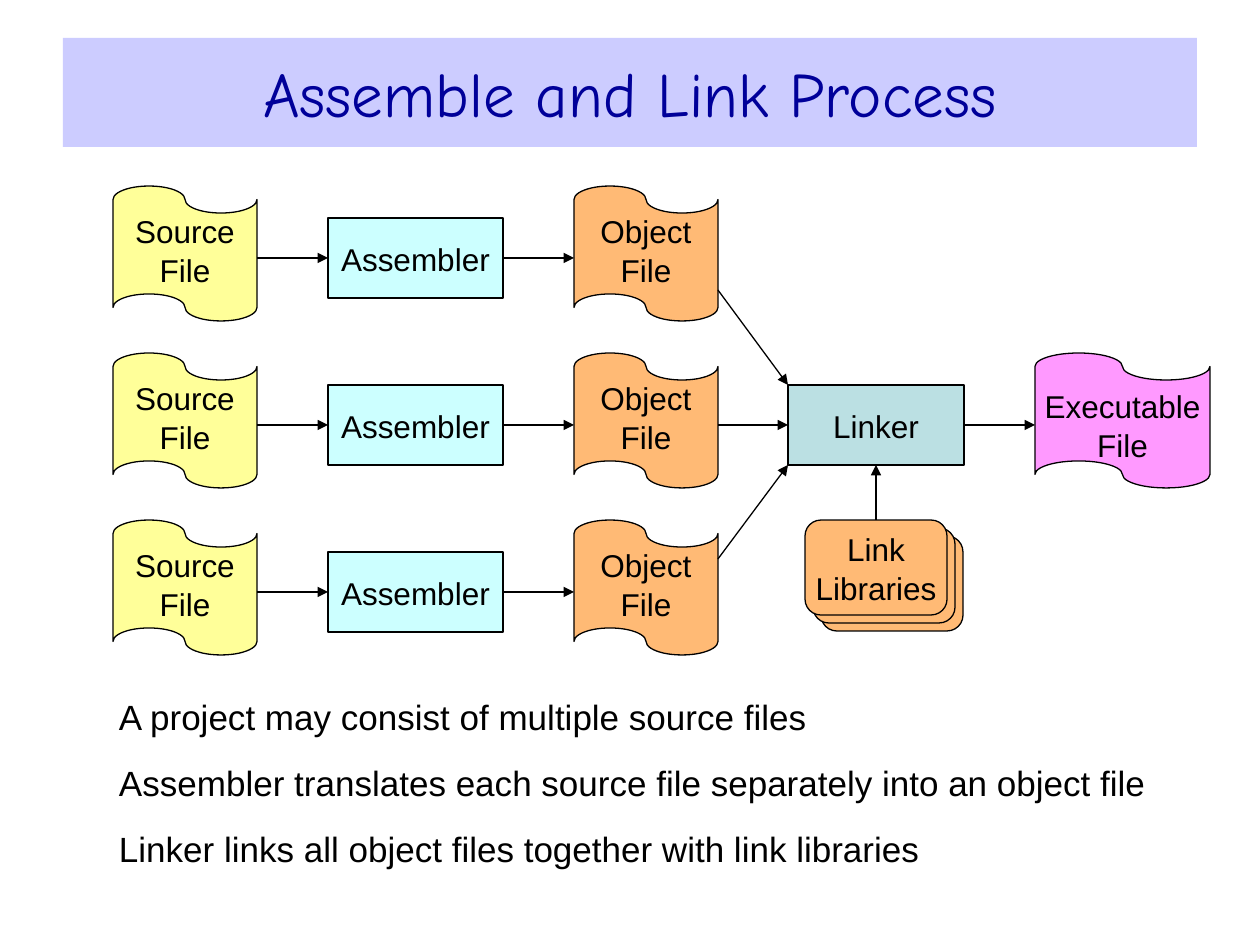
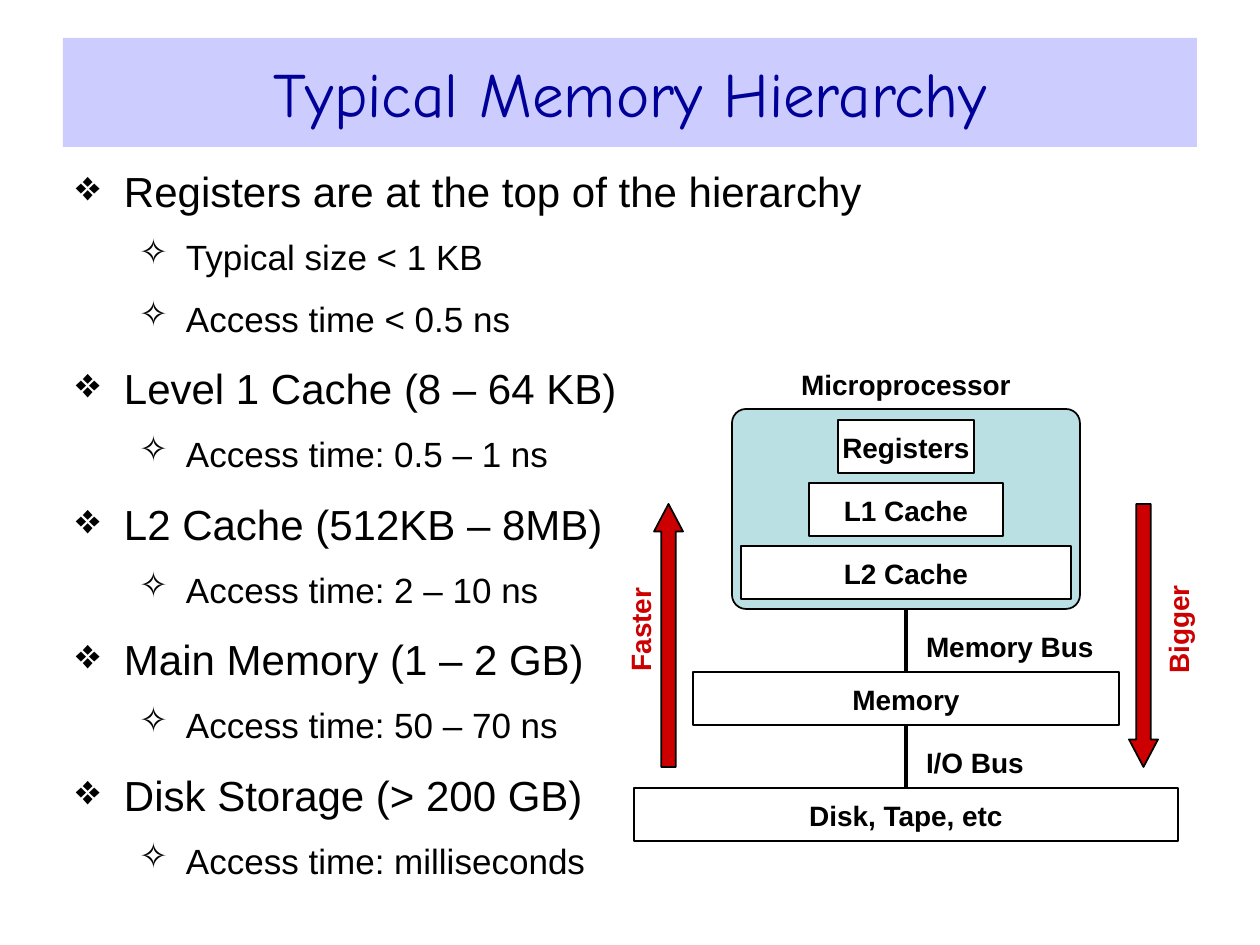
from itertools import pairwise

from lxml.etree import SubElement
from pptx import Presentation
from pptx.dml.color import RGBColor
from pptx.enum.shapes import MSO_CONNECTOR, MSO_SHAPE
from pptx.enum.text import MSO_ANCHOR, PP_ALIGN
from pptx.oxml.ns import qn
from pptx.util import Emu, Pt

PX = 914400 / 126
TOP, LEFT, BOTTOM, RIGHT = range(4)

BLACK, WHITE, RED = "000000", "FFFFFF", "CC0000"
BAND, NAVY = "CCCCFF", "000099"
YELLOW, CYAN, ORANGE, PINK, TEAL = "FFFF99", "CCFFFF", "FFBA75", "FF99FF", "BBE0E3"

TITLE = {"name": "Comic Neue", "size": Pt(36), "color": NAVY}
DIAGRAM = {"name": "Arial", "size": Pt(18), "color": BLACK}
NOTE = {"name": "Arial", "size": Pt(20), "color": BLACK}
HEADING = {"name": "Arial", "size": Pt(24), "color": BLACK}
LABEL = {"name": "Arial", "size": Pt(16), "color": BLACK, "bold": True}
RED_LABEL = LABEL | {"color": RED}

CENTERED = {"alignment": PP_ALIGN.CENTER, "line_spacing": 1.05}
SPACED = {"alignment": PP_ALIGN.LEFT, "line_spacing": 1.05}
PADDED = (13, 6)

ROW_TOPS = [186 + 167 * row for row in range(3)]
TAPE_HEIGHT, BLOCK_HEIGHT, BLOCK_OFFSET = 135, 80, 32
SOURCE_LEFT, OBJECT_LEFT, FILE_WIDTH = 113, 574, 144
LINKER_LEFT, LINKER_WIDTH = 788, 176
PROJECT_NOTES = [
    "A project may consist of multiple source files",
    "Assembler translates each source file separately into an object file",
    "Linker links all object files together with link libraries",
]

HIERARCHY = [
    ("Registers are at the top of the hierarchy", ["Typical size < 1 KB", "Access time < 0.5 ns"]),
    ("Level 1 Cache (8 – 64 KB)", ["Access time: 0.5 – 1 ns"]),
    ("L2 Cache (512KB – 8MB)", ["Access time: 2 – 10 ns"]),
    ("Main Memory (1 – 2 GB)", ["Access time: 50 – 70 ns"]),
    ("Disk Storage (> 200 GB)", ["Access time: milliseconds"]),
]
LEVELS = [
    {"font": HEADING, "bullet": "❖", "margin": 48, "hang": 48, "before": 12},
    {"font": NOTE, "bullet": "✧", "margin": 110, "hang": 47, "before": 10},
]
AXIS, STORE_HEIGHT = 906, 53
CHIP = (732, 409, 348, 200)
STORES = [
    ("Registers", 420, 136),
    ("L1 Cache", 483, 194),
    ("L2 Cache", 546, 330),
    ("Memory", 672, 426),
    ("Disk, Tape, etc", 788, 544),
]
BUS_LABELS = [("Memory Bus", 619), ("I/O Bus", 735)]
TRENDS = [
    ("Faster", 513, MSO_SHAPE.UP_ARROW, 654),
    ("Bigger", 1051, MSO_SHAPE.DOWN_ARROW, 1129),
]


def px(length):
    return Emu(round(length * PX))


def rgb(color):
    return RGBColor.from_string(color)


def apply(target, values):
    for name, value in values.items():
        if name == "color":
            target.color.rgb = rgb(value)
        else:
            setattr(target, name, value)


def set_frame(box, inset=(0, 0), anchor=MSO_ANCHOR.MIDDLE):
    across, down = map(px, inset)
    apply(box.text_frame, {
        "word_wrap": True, "vertical_anchor": anchor,
        "margin_left": across, "margin_right": across,
        "margin_top": down, "margin_bottom": down,
    })


def add_paragraph(frame, index, text, font, layout, before=0):
    para = frame.paragraphs[0] if index == 0 else frame.add_paragraph()
    apply(para, layout | {"space_before": Pt(before if index else 0)})
    span = para.add_run()
    span.text = text
    apply(span.font, font)
    return para


def write(box, lines, font, layout=CENTERED, before=0, **frame_values):
    set_frame(box, **frame_values)
    for index, line in enumerate(lines):
        add_paragraph(box.text_frame, index, line, font, layout, before)


def add_box(page, kind, bounds, fill, line=None, width=0.75):
    box = page.shapes.add_shape(kind, *map(px, bounds))
    box.shadow.inherit = False
    box.fill.solid()
    box.fill.fore_color.rgb = rgb(fill)
    if line:
        box.line.color.rgb = rgb(line)
        box.line.width = Pt(width)
    else:
        box.line.fill.background()
    return box


def add_text(page, bounds, lines, font, **values):
    box = page.shapes.add_textbox(*map(px, bounds))
    write(box, lines, font, **values)
    return box


def add_line(page, start, end, width=0.75, arrow=True):
    ends = [point if isinstance(point[0], int) else (0, 0) for point in (start, end)]
    line = page.shapes.add_connector(MSO_CONNECTOR.STRAIGHT, *map(px, ends[0] + ends[1]))
    for point, join in ((start, line.begin_connect), (end, line.end_connect)):
        if not isinstance(point[0], int):
            join(*point)
    line.line.color.rgb = rgb(BLACK)
    line.line.width = Pt(width)
    properties = line.element.spPr
    if arrow:
        SubElement(properties.find(qn("a:ln")), qn("a:tailEnd"), type="triangle")
    SubElement(properties, qn("a:effectLst"))


def add_page(deck, title):
    page = deck.slides.add_slide(deck.slide_layouts[6])
    band = add_box(page, MSO_SHAPE.RECTANGLE, (63, 38, 1134, 109), BAND)
    write(band, [title], TITLE, {"alignment": PP_ALIGN.CENTER}, inset=PADDED)
    return page


def add_tape(page, left, top, width, fill, lines, text_offset=32):
    tape = add_box(page, MSO_SHAPE.FLOWCHART_PUNCHED_TAPE, (left, top, width, TAPE_HEIGHT), fill, BLACK)
    tape.element.spPr.find(qn("a:xfrm")).set("flipV", "1")
    add_text(page, (left + 8, top + text_offset, width - 16, 63), lines, DIAGRAM)


def add_block(page, left, top, width, fill, text):
    bounds = (left, top + BLOCK_OFFSET, width, BLOCK_HEIGHT)
    block = add_box(page, MSO_SHAPE.RECTANGLE, bounds, fill, BLACK)
    write(block, [text], DIAGRAM)
    return block


def build_link_process(deck):
    page = add_page(deck, "Assemble and Link Process")
    for offset in (16, 8, 0):
        library = add_box(page, MSO_SHAPE.ROUNDED_RECTANGLE, (805 + offset, 520 + offset, 142, 95), ORANGE, BLACK)
    write(library, ["Link", "Libraries"], DIAGRAM)

    linker = add_block(page, LINKER_LEFT, ROW_TOPS[1], LINKER_WIDTH, TEAL, "Linker")
    linker_top = ROW_TOPS[1] + BLOCK_OFFSET
    linker_ends = [(LINKER_LEFT, linker_top), (linker, LEFT), (LINKER_LEFT, linker_top + BLOCK_HEIGHT)]
    object_exits = [104, 72, 39]

    for top, exit_offset, linker_end in zip(ROW_TOPS, object_exits, linker_ends):
        middle = top + BLOCK_OFFSET + BLOCK_HEIGHT // 2
        add_tape(page, SOURCE_LEFT, top, FILE_WIDTH, YELLOW, ["Source", "File"])
        add_tape(page, OBJECT_LEFT, top, FILE_WIDTH, ORANGE, ["Object", "File"])
        assembler = add_block(page, 328, top, 175, CYAN, "Assembler")
        add_line(page, (SOURCE_LEFT + FILE_WIDTH, middle), (assembler, LEFT))
        add_line(page, (assembler, RIGHT), (OBJECT_LEFT, middle))
        add_line(page, (OBJECT_LEFT + FILE_WIDTH, top + exit_offset), linker_end)

    add_tape(page, 1035, ROW_TOPS[1], 175, PINK, ["Executable", "File"], 40)
    add_line(page, (linker, RIGHT), (1035, linker_top + BLOCK_HEIGHT // 2))
    add_line(page, (library, TOP), (linker, BOTTOM))
    add_text(page, (106, 687, 1111, 183), PROJECT_NOTES, NOTE, layout=SPACED,
             before=12.5, inset=PADDED, anchor=MSO_ANCHOR.TOP)


def add_hierarchy_list(page):
    box = page.shapes.add_textbox(*map(px, (63, 157, 1134, 709)))
    set_frame(box, PADDED, MSO_ANCHOR.TOP)
    items = [(level, text) for heading, details in HIERARCHY
             for level, text in [(0, heading)] + [(1, detail) for detail in details]]
    for index, (level, text) in enumerate(items):
        style = LEVELS[level]
        para = add_paragraph(box.text_frame, index, text, style["font"], SPACED | {"level": level}, style["before"])
        properties = para._p.get_or_add_pPr()
        properties.set("marL", str(px(style["margin"])))
        properties.set("indent", str(-px(style["hang"])))
        color = SubElement(properties, qn("a:buClr"))
        SubElement(color, qn("a:srgbClr"), val=BLACK)
        SubElement(properties, qn("a:buChar"), char=style["bullet"])


def build_memory_hierarchy(deck):
    page = add_page(deck, "Typical Memory Hierarchy")
    add_hierarchy_list(page)
    add_text(page, (741, 357, 330, STORE_HEIGHT), ["Microprocessor"], LABEL)
    chip = add_box(page, MSO_SHAPE.ROUNDED_RECTANGLE, CHIP, TEAL, BLACK, 1)
    chip.adjustments[0] = 0.07

    stores = []
    for name, top, width in STORES:
        bounds = (AXIS - width // 2, top, width, STORE_HEIGHT)
        store = add_box(page, MSO_SHAPE.RECTANGLE, bounds, WHITE, BLACK, 1)
        write(store, [name], LABEL)
        stores.append(store)

    for (upper, lower), (name, top) in zip(pairwise([chip] + stores[3:]), BUS_LABELS):
        add_line(page, (upper, BOTTOM), (lower, TOP), 2.25, arrow=False)
        add_text(page, (926, top, 185, STORE_HEIGHT), [name], LABEL, layout=SPACED)

    for name, text_left, kind, arrow_left in TRENDS:
        arrow = add_box(page, kind, (arrow_left, 504, 29, 263), RED, BLACK, 1)
        arrow.adjustments[0], arrow.adjustments[1] = 0.5, 0.95
        label = add_text(page, (text_left, 606, 252, 47), [name], RED_LABEL,
                         inset=PADDED, anchor=MSO_ANCHOR.TOP)
        label.rotation = 270


def main():
    deck = Presentation()
    deck.slide_width, deck.slide_height = px(1260), px(945)
    build_link_process(deck)
    build_memory_hierarchy(deck)
    deck.save("out.pptx")


if __name__ == "__main__":
    main()
